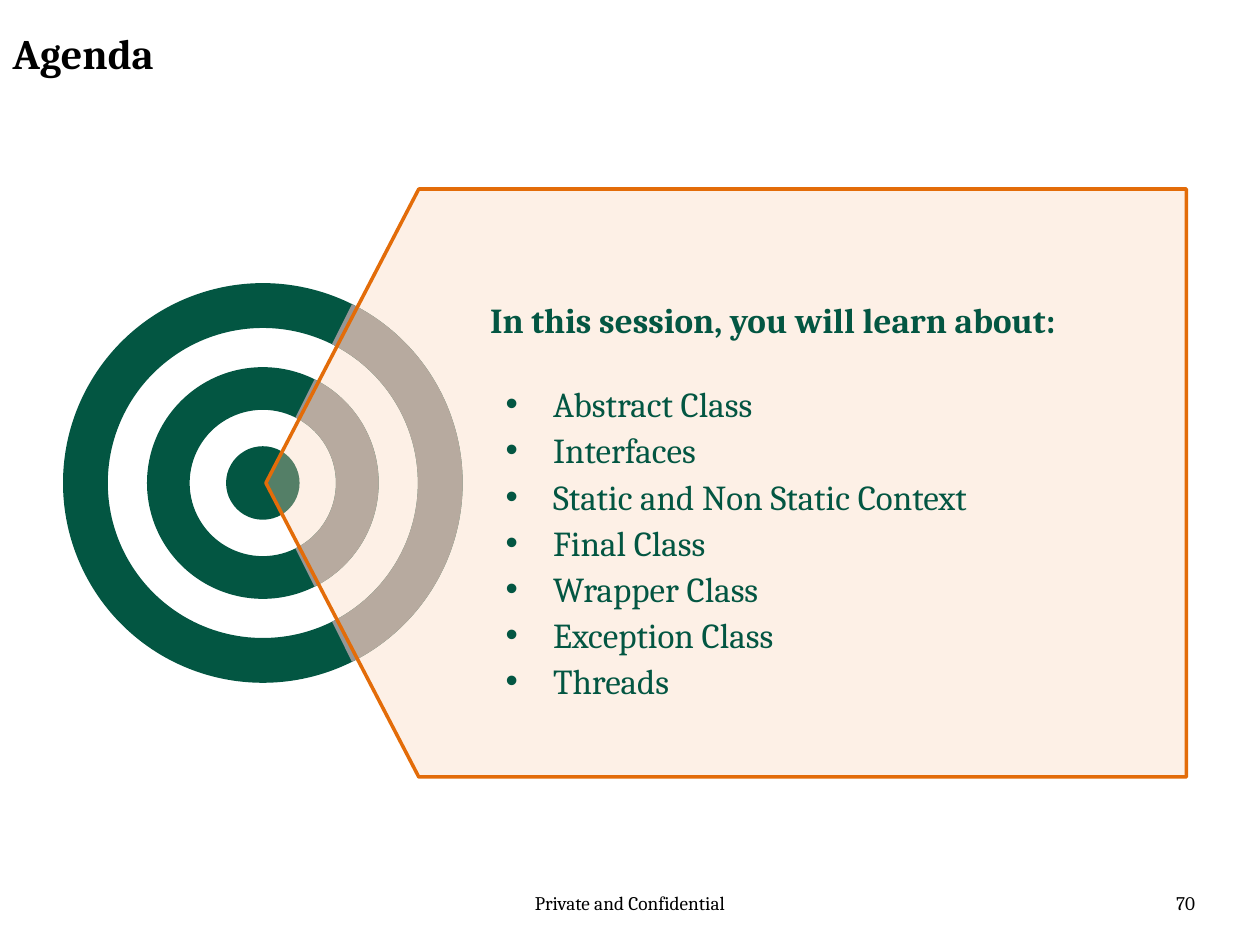
"""Build the agenda slide: a target with a pointed panel listing the session topics."""
from lxml.etree import SubElement
from pptx import Presentation
from pptx.dml.color import RGBColor
from pptx.enum.shapes import MSO_SHAPE
from pptx.enum.text import MSO_ANCHOR, MSO_AUTO_SIZE, PP_ALIGN
from pptx.oxml.ns import qn
from pptx.util import Pt

TITLE = "Agenda"
HEADING = "In this session, you will learn about:"
TOPICS = [
    "Abstract Class",
    "Interfaces",
    "Static and Non Static Context",
    "Final Class",
    "Wrapper Class",
    "Exception Class",
    "Threads",
]
FOOTER = "Private and Confidential"
PAGE_NUMBER = "70"

FONT = "Cambria"
BLACK = RGBColor(0x00, 0x00, 0x00)
GREEN = RGBColor(0x03, 0x56, 0x42)
GREY = RGBColor(0x96, 0x96, 0x96)
PEACH = RGBColor(0xFB, 0xD4, 0xB4)
ORANGE = RGBColor(0xE3, 0x6C, 0x09)

CENTER_X, CENTER_Y = 150.2, 276
BULLSEYE_DIAMETER = 42
RINGS = [(132.4, 24.4), (228.4, 25.6)]
WEDGE_ANGLE = 63.5
PANEL = (152, 108, 526, 336)
PANEL_POINT = 0.26
PANEL_OPACITY = 33


def write(paragraph, text, size=20, color=GREEN, bold=False, align=PP_ALIGN.LEFT,
          line_spacing=1.0, space_before=0, bullet=None, indent=(0, 0)):
    """Put formatted text in a paragraph, with an optional bullet."""
    properties = paragraph._p.get_or_add_pPr()
    margin, first_line = indent
    properties.set("marL", str(Pt(margin)))
    properties.set("indent", str(Pt(first_line)))
    paragraph.alignment = align
    paragraph.line_spacing = line_spacing
    paragraph.space_before = Pt(space_before)
    paragraph.space_after = Pt(0)
    if bullet:
        SubElement(properties, qn("a:buFont"), typeface="Arial")
        SubElement(properties, qn("a:buChar"), char=bullet)
    else:
        SubElement(properties, qn("a:buNone"))
    run = paragraph.add_run()
    run.text = text
    run.font.name = FONT
    run.font.size = Pt(size)
    run.font.bold = bold
    run.font.color.rgb = color


def prepare_frame(shape, insets=(7.2, 3.6)):
    """Set margins and wrapping, and return the text frame."""
    frame = shape.text_frame
    frame.word_wrap = True
    frame.auto_size = MSO_AUTO_SIZE.NONE
    frame.vertical_anchor = MSO_ANCHOR.TOP
    frame.margin_left = frame.margin_right = Pt(insets[0])
    frame.margin_top = frame.margin_bottom = Pt(insets[1])
    return frame


def place(shape, left, top, width, height):
    """Move and size a shape in points."""
    shape.left, shape.top = Pt(left), Pt(top)
    shape.width, shape.height = Pt(width), Pt(height)


def add_filled(slide, kind, box, color):
    """Add a flat shape without outline."""
    shape = slide.shapes.add_shape(kind, *map(Pt, box))
    shape.shadow.inherit = False
    shape.fill.solid()
    shape.fill.fore_color.rgb = color
    shape.line.fill.background()
    return shape


def add_target(slide):
    """Draw the bullseye and its rings, each with a grey wedge on the right."""
    def circle_box(diameter):
        return CENTER_X - diameter / 2, CENTER_Y - diameter / 2, diameter, diameter

    add_filled(slide, MSO_SHAPE.OVAL, circle_box(BULLSEYE_DIAMETER), GREEN)
    for diameter, thickness in RINGS:
        ratio = thickness / diameter
        ring = add_filled(slide, MSO_SHAPE.DONUT, circle_box(diameter), GREEN)
        ring.adjustments[0] = ratio
        wedge = add_filled(slide, MSO_SHAPE.BLOCK_ARC, circle_box(diameter), GREY)
        wedge.adjustments[0] = (360 - WEDGE_ANGLE) * 0.6
        wedge.adjustments[1] = WEDGE_ANGLE * 0.6
        wedge.adjustments[2] = ratio


def add_panel(slide):
    """Draw the translucent panel that points left to the bullseye."""
    panel = add_filled(slide, MSO_SHAPE.PENTAGON, PANEL, PEACH)
    panel.adjustments[0] = PANEL_POINT
    panel.line.color.rgb = ORANGE
    panel.line.width = Pt(2)
    panel._element.spPr.find(qn("a:xfrm")).set("flipH", "1")
    fill_color = panel._element.spPr.find(qn("a:solidFill"))[0]
    SubElement(fill_color, qn("a:alpha"), val=str(PANEL_OPACITY * 1000))


def add_topics(slide):
    """Fill the body placeholder and bring it in front of the panel."""
    body = slide.placeholders[1]
    place(body, 280, 173.2, 392, 235)
    frame = prepare_frame(body, insets=(0, 0))
    write(frame.paragraphs[0], HEADING, bold=True, line_spacing=0.9)
    for index, topic in enumerate(TOPICS):
        write(frame.add_paragraph(), topic, line_spacing=1.1, bullet="•",
              indent=(36, -27), space_before=0 if index else 21.5)
    slide.shapes._spTree.append(body._element)


def main():
    presentation = Presentation()
    presentation.slide_width, presentation.slide_height = Pt(720), Pt(540)
    slide = presentation.slides.add_slide(presentation.slide_layouts[1])

    title = slide.shapes.title
    place(title, 0, 12.2, 546.5, 44.6)
    write(prepare_frame(title).paragraphs[0], TITLE, size=24, color=BLACK, bold=True)

    add_target(slide)
    add_panel(slide)
    add_topics(slide)

    for text, left, width, align in [
        (FOOTER, 246, 228, PP_ALIGN.CENTER),
        (PAGE_NUMBER, 522, 168, PP_ALIGN.RIGHT),
    ]:
        box = slide.shapes.add_textbox(Pt(left), Pt(505.5), Pt(width), Pt(28.8))
        write(prepare_frame(box).paragraphs[0], text, size=11, color=BLACK, align=align)

    presentation.save("out.pptx")


if __name__ == "__main__":
    main()
